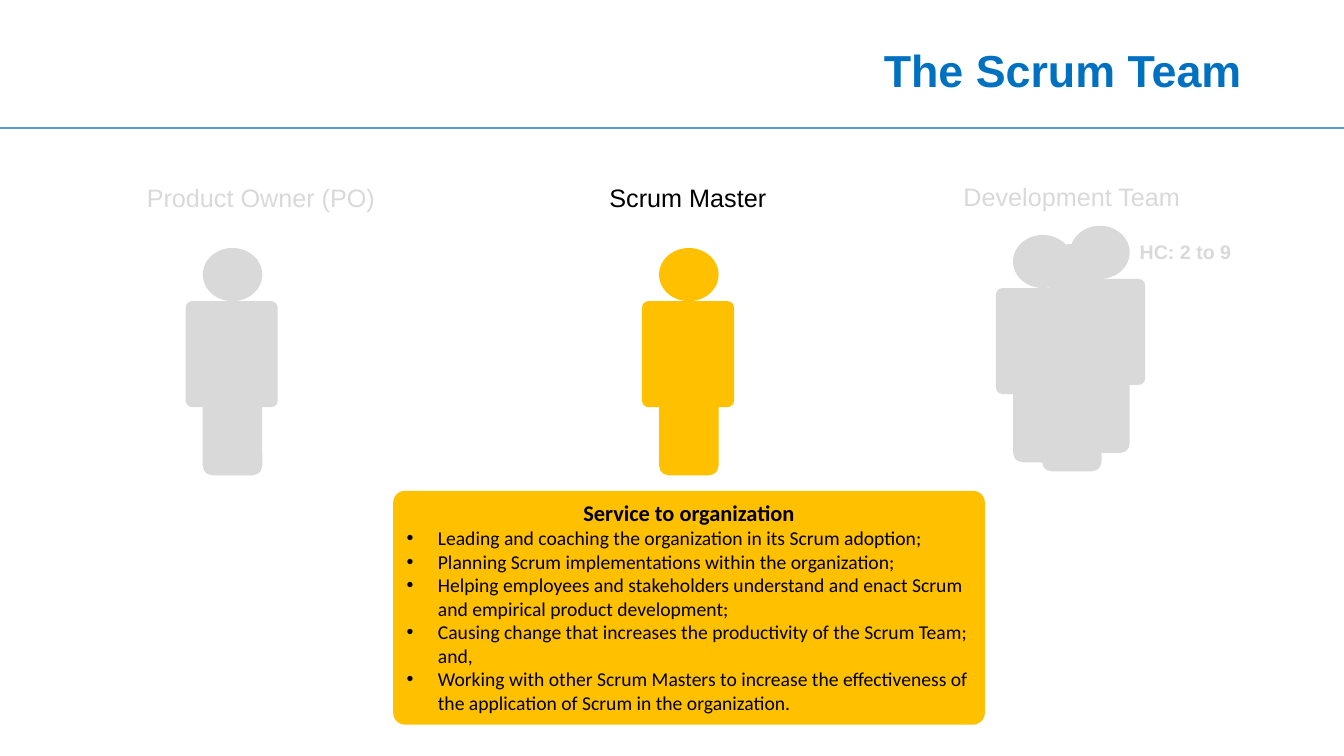
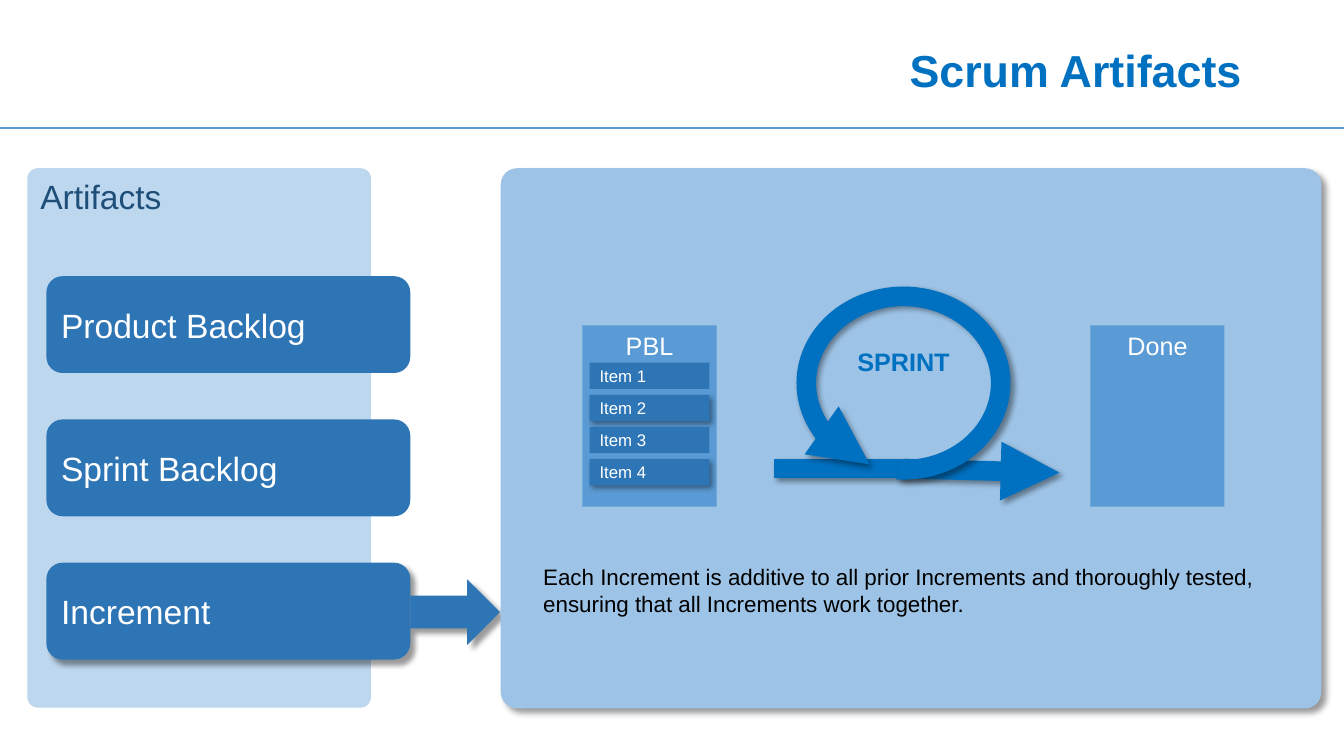
"""Build two slides on the Scrum team and the Scrum artifacts."""
from dataclasses import dataclass

from pptx import Presentation
from pptx.dml.color import RGBColor
from pptx.enum.shapes import MSO_CONNECTOR, MSO_SHAPE
from pptx.enum.text import MSO_ANCHOR, MSO_AUTO_SIZE, PP_ALIGN
from pptx.oxml.ns import qn
from pptx.oxml.xmlchemy import OxmlElement
from pptx.util import Cm, Pt


@dataclass(frozen=True)
class Theme:
    """Hold the colours, fonts and type sizes of the deck."""
    accent: str = "0070C0"
    rule: str = "5B9BD5"
    deep: str = "2E75B6"
    navy: str = "1F4E79"
    mid: str = "9DC3E6"
    pale: str = "BDD7EE"
    gold: str = "FFC000"
    grey: str = "D9D9D9"
    black: str = "000000"
    white: str = "FFFFFF"
    font: str = "Arial"
    body_font: str = "Calibri"
    title: int = 32
    heading: int = 24
    label: int = 18
    body: int = 16
    detail: int = 14
    small: int = 12
    stroke: int = 14


T = Theme()
SERVICES = [
    "Leading and coaching the organization in its Scrum adoption;",
    "Planning Scrum implementations within the organization;",
    "Helping employees and stakeholders understand and enact Scrum and empirical product development;",
    "Causing change that increases the productivity of the Scrum Team; and,",
    "Working with other Scrum Masters to increase the effectiveness of the application of Scrum in the organization.",
]


def apply(obj, formats):
    """Set each attribute in formats on obj."""
    for name, value in formats.items():
        setattr(obj, name, value)


def add_child(parent, tag, **attrs):
    """Append an XML element with attributes to parent."""
    child = OxmlElement(tag)
    for name, value in attrs.items():
        child.set(name, str(value))
    parent.append(child)
    return child


def write(p, text, size, color, bold=False, font=T.font, align=PP_ALIGN.LEFT):
    """Write one formatted run into a paragraph."""
    p.alignment = align
    r = p.add_run()
    r.text = text
    apply(r.font, {"name": font, "size": Pt(size), "bold": bold})
    r.font.color.rgb = RGBColor.from_string(color)


def set_shadow(sp, dist=0):
    """Replace the theme shadow with none, or with a soft one at dist points."""
    spPr = sp._element.spPr
    for old in spPr.findall(qn("a:effectLst")):
        spPr.remove(old)
    effects = add_child(spPr, "a:effectLst")
    if dist:
        outer = add_child(effects, "a:outerShdw", blurRad=Pt(4), dist=Pt(dist),
                          dir=45 * 60000, algn="tl", rotWithShape=0)
        color = add_child(outer, "a:srgbClr", val=T.black)
        add_child(color, "a:alpha", val=40000)


def add_box(shapes, kind, box, fill, adj=None, shadow=0):
    """Add a filled preset shape without outline."""
    sp = shapes.add_shape(kind, *map(Cm, box))
    sp.shadow.inherit = False
    sp.fill.solid()
    sp.fill.fore_color.rgb = RGBColor.from_string(fill)
    sp.line.fill.background()
    if adj is not None:
        sp.adjustments[0] = adj
    if shadow:
        set_shadow(sp, shadow)
    return sp


def add_card(shapes, kind, box, fill, text, size, color=T.white,
             anchor=MSO_ANCHOR.MIDDLE, align=PP_ALIGN.LEFT, **options):
    """Add a filled shape that carries one line of text."""
    sp = add_box(shapes, kind, box, fill, **options)
    apply(sp.text_frame, {"word_wrap": True, "vertical_anchor": anchor})
    write(sp.text_frame.paragraphs[0], text, size, color, align=align)
    return sp


def add_label(shapes, box, text, size, color, wrap=False, **options):
    """Add a text box that grows with its text."""
    tf = shapes.add_textbox(*map(Cm, box)).text_frame
    apply(tf, {"word_wrap": wrap, "auto_size": MSO_AUTO_SIZE.SHAPE_TO_FIT_TEXT})
    write(tf.paragraphs[0], text, size, color, **options)


def style_line(sp, color, width, shadow=0, end=None):
    """Format a line, with an arrowhead at the end named by its tag."""
    sp.line.fill.solid()
    sp.line.fill.fore_color.rgb = RGBColor.from_string(color)
    sp.line.width = Pt(width)
    if end:
        add_child(sp._element.spPr.find(qn("a:ln")), end, type="triangle")
    set_shadow(sp, shadow)


def add_line(shapes, ends, color, width, **options):
    """Add a straight line between two points."""
    sp = shapes.add_connector(MSO_CONNECTOR.STRAIGHT, *map(Cm, ends))
    style_line(sp, color, width, **options)
    return sp


def add_person(slide, x, y, color):
    """Add a standing figure whose head starts at x, y."""
    shapes = slide.shapes.add_group_shape().shapes
    body_y = y + 1.34
    add_box(shapes, MSO_SHAPE.OVAL, (x, y, 1.5, 1.34), color)
    for dx, width, height in ((0, 1.5, 4.39), (0.92, 0.97, 2.67), (-0.43, 0.97, 2.67)):
        add_box(shapes, MSO_SHAPE.ROUNDED_RECTANGLE, (x + dx, body_y, width, height), color)


def add_bullet(tf, text):
    """Add a bulleted paragraph with a hanging indent."""
    p = tf.add_paragraph()
    write(p, text, T.detail, T.black, font=T.body_font)
    pPr = p._p.get_or_add_pPr()
    pPr.set("marL", str(Cm(0.79)))
    pPr.set("indent", str(-Cm(0.79)))
    add_child(pPr, "a:buFont", typeface=T.font)
    add_child(pPr, "a:buChar", char="•")


def add_slide(prs, layout, title):
    """Add a slide with the shared title style."""
    s = prs.slides.add_slide(layout)
    sp = s.shapes.title
    apply(sp, {"left": Cm(2.34), "top": Cm(1.02), "width": Cm(29.21), "height": Cm(1.63)})
    sp.text_frame.vertical_anchor = MSO_ANCHOR.MIDDLE
    p = sp.text_frame.paragraphs[0]
    p.line_spacing = 0.9
    write(p, title, T.title, T.accent, bold=True, align=PP_ALIGN.RIGHT)
    return s


def add_header_rule(layout, s):
    """Put the rule below the title on the layout."""
    rule = add_line(s.shapes, (0, 3.23, 33.87, 3.23), T.rule, 1.5)
    layout.shapes.element.append(rule._element)


def build_team(s):
    """Fill the slide on the Scrum team."""
    people = [(26.97, 5.69, T.grey), (5.11, 6.25, T.grey), (16.61, 6.25, T.gold),
              (25.53, 5.92, T.grey), (26.26, 6.15, T.grey)]
    for person in people:
        add_person(s, *person)
    roles = [(3.45, 4.47, 6.32, "Product Owner (PO)", T.grey),
             (15.11, 4.47, 4.5, "Scrum Master", T.black),
             (24.03, 4.45, 6.02, "Development Team", T.grey)]
    for x, y, width, role, color in roles:
        add_label(s.shapes, (x, y, width, 1.02), role, T.label, color)
    add_label(s.shapes, (28.47, 5.92, 2.84, 0.86), "HC: 2 to 9", T.detail, T.grey, bold=True)
    sp = add_box(s.shapes, MSO_SHAPE.ROUNDED_RECTANGLE, (9.91, 12.37, 14.91, 5.89),
                 T.gold, adj=0.05)
    tf = sp.text_frame
    apply(tf, {"word_wrap": True, "vertical_anchor": MSO_ANCHOR.TOP})
    write(tf.paragraphs[0], "Service to organization", T.body, T.black, bold=True,
          font=T.body_font, align=PP_ALIGN.CENTER)
    for service in SERVICES:
        add_bullet(tf, service)


def add_sprint(s):
    """Add the sprint loop with its arrows."""
    shapes = s.shapes.add_group_shape().shapes
    add_line(shapes, (22.78, 11.81, 26.7, 11.91), T.accent, T.stroke, shadow=3, end="a:tailEnd")
    add_line(shapes, (19.51, 11.81, 22.81, 11.81), T.accent, T.stroke, shadow=3)
    arc = shapes.add_shape(MSO_SHAPE.ARC, *map(Cm, (20.32, 7.47, 4.9, 4.37)))
    arc.adjustments[0], arc.adjustments[1] = 67.59, 56.71
    arc.fill.background()
    style_line(arc, T.accent, T.stroke, shadow=3, end="a:headEnd")
    add_label(shapes, (21.31, 8.61, 2.92, 1.02), "SPRINT", T.label, T.accent,
              wrap=True, bold=True, align=PP_ALIGN.CENTER)


def build_artifacts(s):
    """Fill the slide on the Scrum artifacts."""
    rounded, rect = MSO_SHAPE.ROUNDED_RECTANGLE, MSO_SHAPE.RECTANGLE
    add_card(s.shapes, rounded, (0.69, 4.24, 8.66, 13.59), T.pale, "Artifacts",
             T.heading, T.navy, anchor=MSO_ANCHOR.TOP, adj=0.03)
    artifacts = [("Product Backlog", 0), ("Sprint Backlog", 0), ("Increment", 5)]
    for i, (artifact, shadow) in enumerate(artifacts):
        add_card(s.shapes, rounded, (1.17, 6.96 + 3.61 * i, 9.17, 2.44), T.deep,
                 artifact, T.heading, shadow=shadow)
    add_box(s.shapes, MSO_SHAPE.RIGHT_ARROW, (10.34, 14.6, 2.26, 1.65), T.deep, shadow=5)
    add_box(s.shapes, rounded, (12.62, 4.24, 20.68, 13.61), T.mid, adj=0.03, shadow=5)
    for x, stage in ((14.68, "PBL"), (27.48, "Done")):
        add_card(s.shapes, rect, (x, 8.2, 3.38, 4.57), T.rule, stage, T.label,
                 anchor=MSO_ANCHOR.TOP, align=PP_ALIGN.CENTER)
    for i in range(4):
        add_card(s.shapes, rect, (14.86, 9.14 + 0.81 * i, 3.02, 0.66), T.deep,
                 f"Item {i + 1}", T.small, shadow=3 * (i % 2))
    add_sprint(s)
    add_label(s.shapes, (13.44, 14.07, 18.9, 1.63),
              "Each Increment is additive to all prior Increments and thoroughly tested, "
              "ensuring that all Increments work together.", T.body, T.black, wrap=True)


def main():
    """Build and save the deck."""
    prs = Presentation()
    apply(prs, {"slide_width": Cm(33.87), "slide_height": Cm(19.05)})
    layout = prs.slide_layouts[5]
    team = add_slide(prs, layout, "The Scrum Team")
    add_header_rule(layout, team)
    build_team(team)
    build_artifacts(add_slide(prs, layout, "Scrum Artifacts"))
    prs.save("out.pptx")


main()
